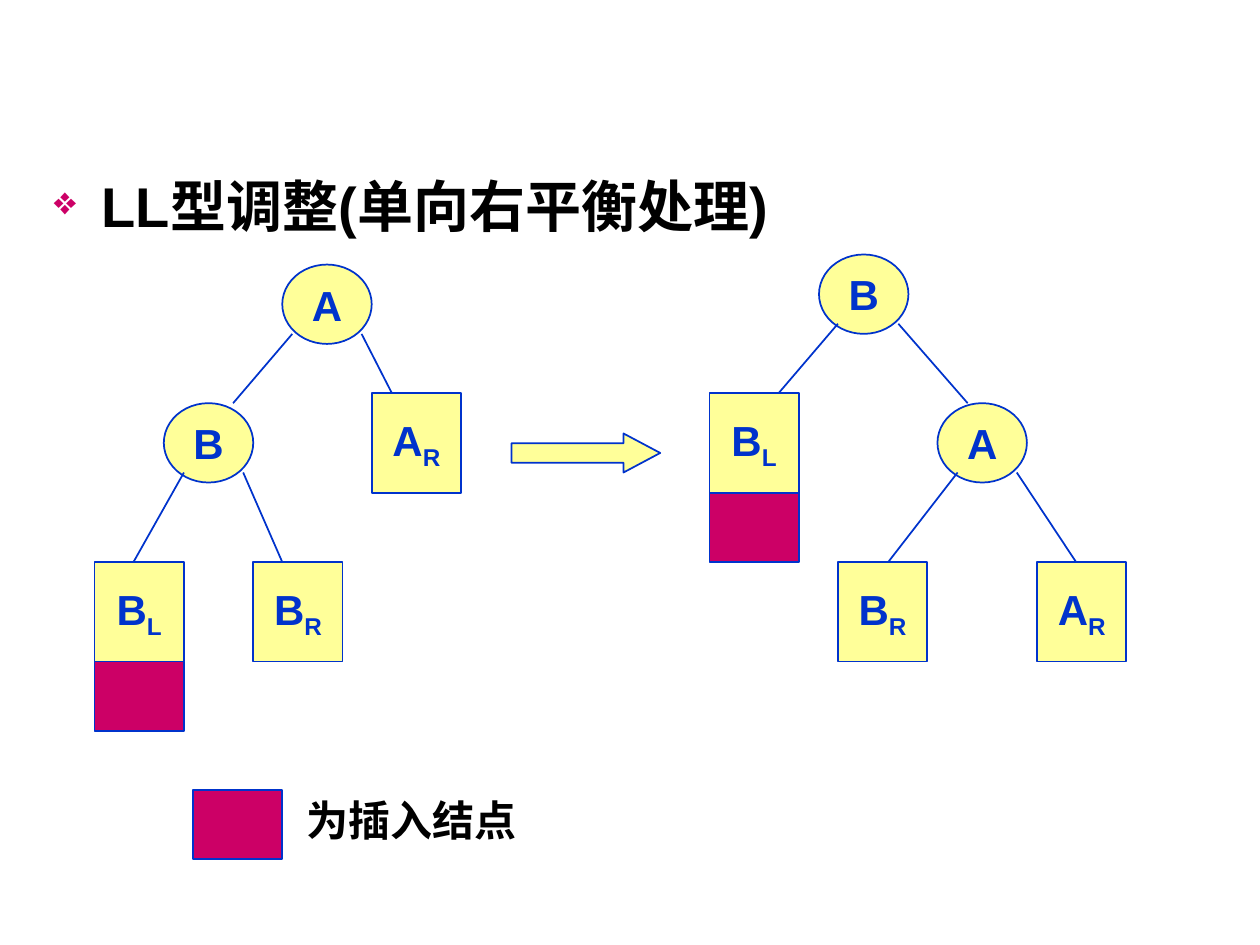
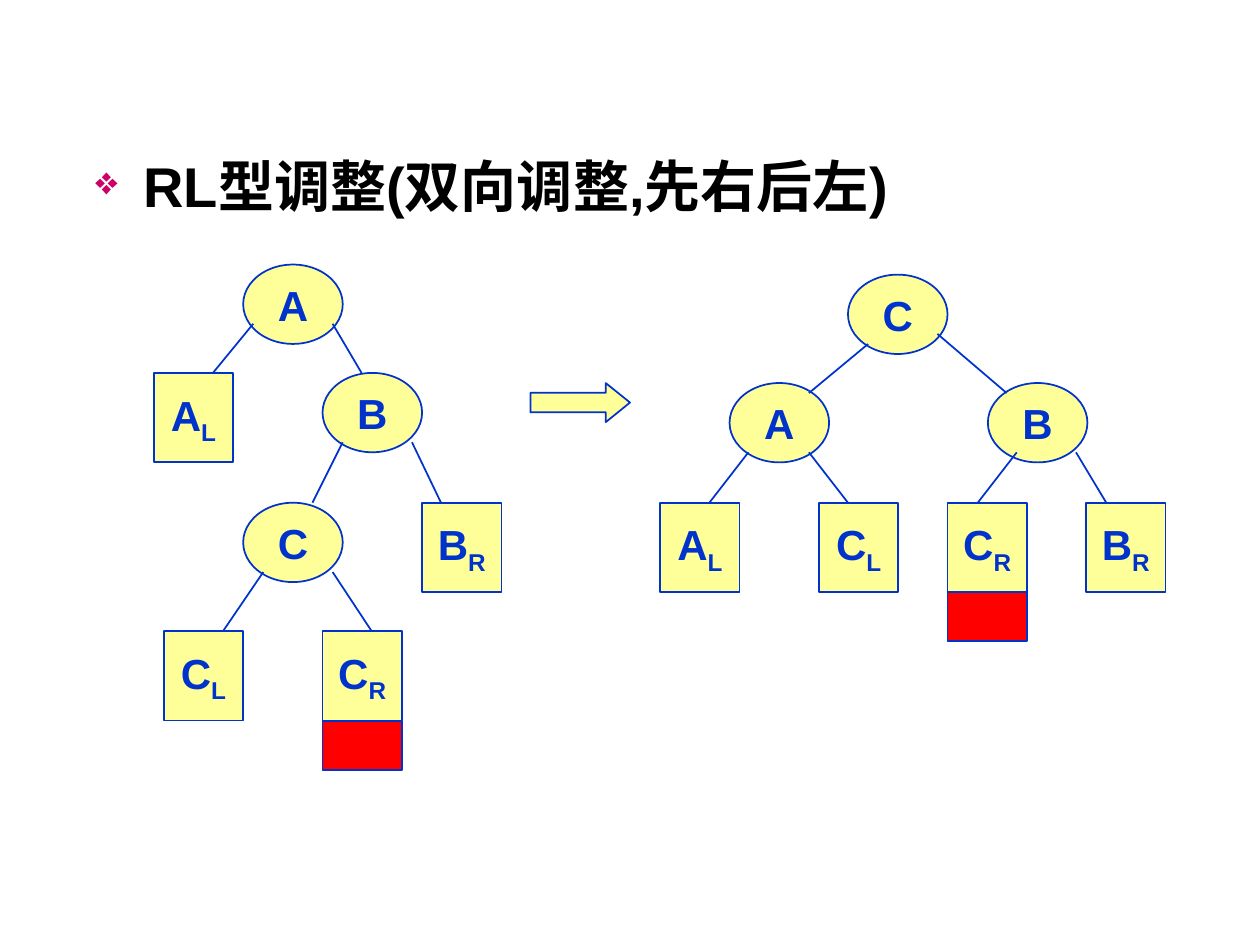
from dataclasses import dataclass

from lxml import etree
from pptx import Presentation
from pptx.dml.color import RGBColor
from pptx.enum.shapes import MSO_CONNECTOR, MSO_SHAPE
from pptx.enum.text import MSO_ANCHOR, PP_ALIGN
from pptx.oxml.ns import qn
from pptx.util import Inches, Pt

STRAIGHT = MSO_CONNECTOR.STRAIGHT
RECT, OVAL, ARROW = MSO_SHAPE.RECTANGLE, MSO_SHAPE.OVAL, MSO_SHAPE.RIGHT_ARROW
MIDDLE = MSO_ANCHOR.MIDDLE
CENTER, LEFT = PP_ALIGN.CENTER, PP_ALIGN.LEFT


@dataclass(frozen=True)
class Theme:
    font: str = "Arial"
    ink: str = "000000"
    paper: str = "FFFFFF"
    node_fill: str = "FFFF99"
    outline: str = "0033CC"
    accent: str = "CC0066"
    alert: str = "FF0000"
    title_size: int = 32
    label_size: int = 24
    line_width: int = 1


THEME = Theme()
OVERLAP = 0.08  # how far an edge starts above the bottom of its parent

# Nodes: name -> (left, top); letters after the first are a subscript.
# Edges: parent, child, start x, end x[, overlap with parent[, depth in child]].
SLIDES = [
    {
        "title": "LL型调整(单向右平衡处理)",
        "title_box": (0.33, 1.31, 9.34, 5.59),
        "inner_size": (0.71, 0.63),
        "subtree_size": (0.71, 0.79),
        "inserted_height": 0.55,
        "inserted_color": THEME.accent,
        "arrow": (4.06, 3.44, 1.18, 0.31),
        "arrow_head": 0.94,
        "trees": [
            {
                "nodes": {"A": (2.24, 2.1), "B": (1.3, 3.2), "AR": (2.95, 3.12),
                          "BL": (0.75, 4.46), "BR": (2.01, 4.46)},
                "edges": [("A", "B", 2.32, 1.85), ("A", "AR", 2.87, 3.11),
                          ("B", "BL", 1.46, 1.06), ("B", "BR", 1.93, 2.24)],
                "inserted_under": "BL",
            },
            {
                "nodes": {"B": (6.5, 2.02), "A": (7.44, 3.2), "BL": (5.63, 3.12),
                          "BR": (6.65, 4.46), "AR": (8.23, 4.46)},
                "edges": [("B", "BL", 6.65, 6.18), ("B", "A", 7.13, 7.68),
                          ("A", "BR", 7.6, 7.05), ("A", "AR", 8.07, 8.54)],
                "inserted_under": "BL",
            },
        ],
        "legend": {"text": "为插入结点", "swatch": (1.53, 6.27),
                   "label": (2.36, 6.19, 1.81, 0.63)},
    },
    {
        "title": "RL型调整(双向调整,先右后左)",
        "title_box": (0.66, 1.15, 9.34, 5.27),
        "inner_size": (0.79, 0.63),
        "subtree_size": (0.63, 0.71),
        "inserted_height": 0.39,
        "inserted_color": THEME.alert,
        "arrow": (4.21, 3.04, 0.79, 0.31),
        "arrow_head": 0.62,
        "trees": [
            {
                "nodes": {"A": (1.93, 2.1), "B": (2.56, 2.96), "C": (1.93, 3.99),
                          "AL": (1.22, 2.96), "BR": (3.35, 3.99),
                          "CL": (1.3, 5.01), "CR": (2.56, 5.01)},
                "edges": [("A", "AL", 2.01, 1.69, 0.16), ("A", "B", 2.64, 2.87, 0.16),
                          ("B", "C", 2.72, 2.48), ("B", "BR", 3.27, 3.5),
                          ("C", "CL", 2.09, 1.77), ("C", "CR", 2.64, 2.95)],
                "inserted_under": "CR",
            },
            {
                "nodes": {"C": (6.73, 2.18), "A": (5.79, 3.04), "B": (7.84, 3.04),
                          "AL": (5.24, 3.99), "CL": (6.5, 3.99),
                          "CR": (7.52, 3.99), "BR": (8.62, 3.99)},
                "edges": [("C", "A", 6.89, 6.42, 0.08, 0.08),
                          ("C", "B", 7.44, 7.99, 0.16, 0.08),
                          ("A", "AL", 5.94, 5.63), ("A", "CL", 6.42, 6.73),
                          ("B", "CR", 8.07, 7.76), ("B", "BR", 8.54, 8.78)],
                "inserted_under": "CR",
            },
        ],
    },
]


def rgb(color):
    return RGBColor.from_string(color)


def write(shape, text, subscript="", size=THEME.label_size, color=THEME.outline,
          align=CENTER, anchor=MIDDLE, wrap=False, bullet=None):
    frame = shape.text_frame
    frame.word_wrap = wrap
    if anchor is not None:
        frame.vertical_anchor = anchor
    paragraph = frame.paragraphs[0]
    paragraph.alignment = align
    if bullet:
        add_bullet(paragraph, bullet)
    for part, baseline in ((text, None), (subscript, "-25000")):
        if not part:
            continue
        run = paragraph.add_run()
        run.text = part
        run.font.name = THEME.font
        run.font.size = Pt(size)
        run.font.bold = True
        run.font.color.rgb = rgb(color)
        if baseline:
            run.font._element.set("baseline", baseline)


def add_bullet(paragraph, symbol):
    properties = paragraph._p.get_or_add_pPr()
    properties.set("marL", str(Inches(0.38)))
    properties.set("indent", str(Inches(-0.38)))
    color = etree.SubElement(properties, qn("a:buClr"))
    etree.SubElement(color, qn("a:srgbClr"), val=THEME.accent)
    etree.SubElement(properties, qn("a:buSzPct"), val="70000")
    etree.SubElement(properties, qn("a:buChar"), char=symbol)


def add_block(shapes, kind, box, fill, outlined=True):
    block = shapes.add_shape(kind, *map(Inches, box))
    block.shadow.inherit = False
    block.fill.solid()
    block.fill.fore_color.rgb = rgb(fill)
    if outlined:
        block.line.color.rgb = rgb(THEME.outline)
        block.line.width = Pt(THEME.line_width)
    else:
        block.line.fill.background()
    return block


def add_edge(shapes, start, end):
    edge = shapes.add_connector(STRAIGHT, *map(Inches, start + end))
    edge.line.color.rgb = rgb(THEME.outline)
    edge.line.width = Pt(THEME.line_width)
    etree.SubElement(edge._element.spPr, qn("a:effectLst"))


def add_tree(slide, tree, content):
    nodes = tree["nodes"]
    subtree_width, subtree_height = content["subtree_size"]
    left, top = nodes[tree["inserted_under"]]
    add_block(slide.shapes, RECT,
              (left, top + subtree_height, subtree_width, content["inserted_height"]),
              content["inserted_color"])

    shapes = slide.shapes.add_group_shape().shapes
    for name, position in nodes.items():
        letter, subscript = name[0], name[1:]
        kind, size = ((RECT, content["subtree_size"]) if subscript
                      else (OVAL, content["inner_size"]))
        node = add_block(shapes, kind, position + size, THEME.node_fill)
        write(node, letter, subscript)

    inner_height = content["inner_size"][1]
    for parent, child, start_x, end_x, *depths in tree["edges"]:
        overlap, depth = (depths + [OVERLAP, 0][len(depths):])
        start_y = nodes[parent][1] + inner_height - overlap
        add_edge(shapes, (start_x, start_y), (end_x, nodes[child][1] + depth))


def add_legend(slide, legend, content):
    swatch_size = (content["subtree_size"][0], content["inserted_height"])
    add_block(slide.shapes, RECT, legend["swatch"] + swatch_size,
              content["inserted_color"])
    label = add_block(slide.shapes, RECT, legend["label"], THEME.paper, outlined=False)
    write(label, legend["text"], color=THEME.ink)


def build_slide(deck, content):
    slide = deck.slides.add_slide(deck.slide_layouts[6])
    title = slide.shapes.add_textbox(*map(Inches, content["title_box"]))
    write(title, content["title"], size=THEME.title_size, color=THEME.ink,
          align=LEFT, anchor=None, wrap=True, bullet="❖")
    for tree in content["trees"]:
        add_tree(slide, tree, content)
    arrow = add_block(slide.shapes, ARROW, content["arrow"], THEME.node_fill)
    arrow.adjustments[0] = 0.5
    arrow.adjustments[1] = content["arrow_head"]
    if "legend" in content:
        add_legend(slide, content["legend"], content)


def main():
    deck = Presentation()
    deck.slide_width, deck.slide_height = Inches(10), Inches(7.5)
    for content in SLIDES:
        build_slide(deck, content)
    deck.save("out.pptx")


if __name__ == "__main__":
    main()
